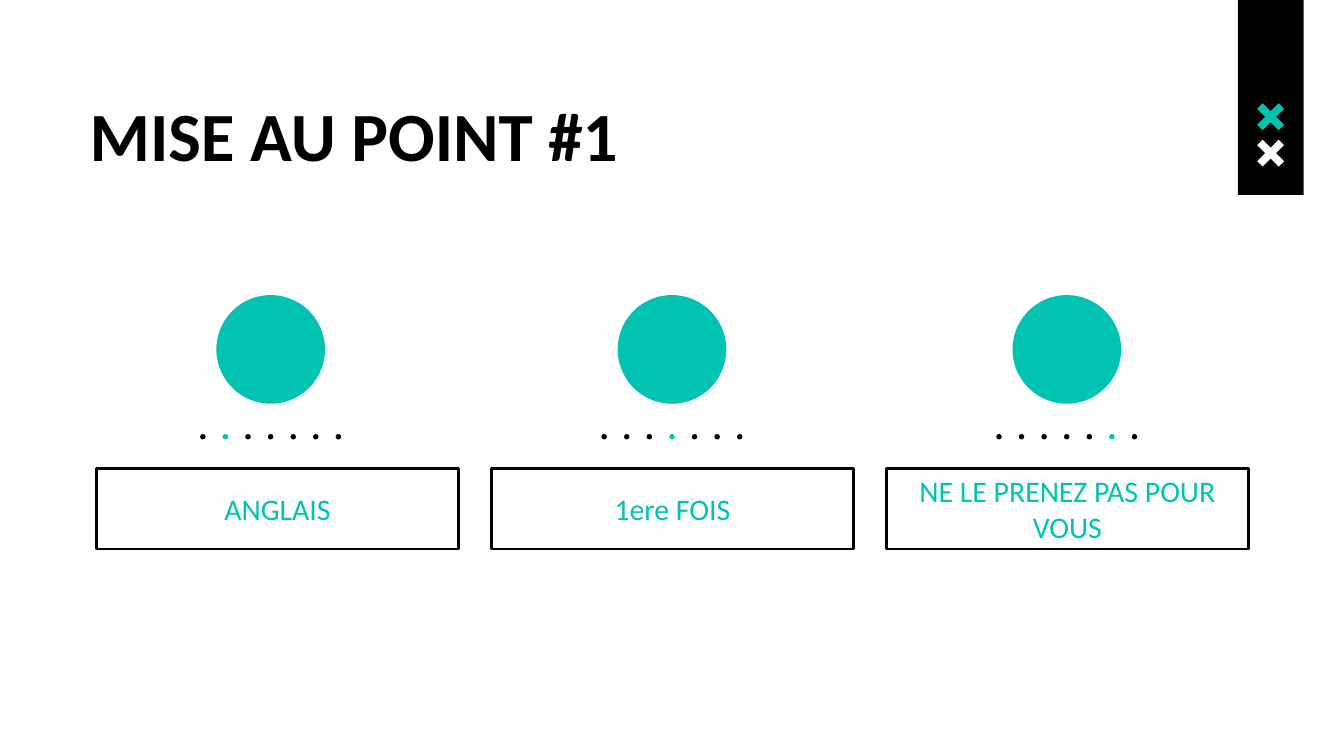
from pptx import Presentation
from pptx.dml.color import RGBColor
from pptx.enum.shapes import MSO_SHAPE
from pptx.enum.text import MSO_ANCHOR, PP_ALIGN
from pptx.util import Pt

RECT, OVAL = MSO_SHAPE.RECTANGLE, MSO_SHAPE.OVAL
MIDDLE, CENTER = MSO_ANCHOR.MIDDLE, PP_ALIGN.CENTER
BLACK = RGBColor(0x00, 0x00, 0x00)
WHITE = RGBColor(0xFF, 0xFF, 0xFF)
TEAL = RGBColor(0x00, 0xC3, 0xB1)
FONT = "Calibri"

# Content
TITLE = "MISE AU POINT #1"
COLUMNS = [  # label, centre of the disc, index of the teal dot
    ("ANGLAIS", 145, 1),
    ("1ere FOIS", 360, 3),
    ("NE LE PRENEZ PAS POUR VOUS", 571.5, 5),
]
CROSSES = [(62.6, TEAL), (82.1, WHITE)]  # centre height, colour

# Layout, in points
TAB_X, TAB_W, TAB_H = 663.1, 35.3, 104.4
ARM = [(-4.3, -7.2), (-7.2, -4.3), (-2.9, 0)]  # a quarter of a cross
DISC, DISC_Y = 58.2, 187.2
DOTS, DOT, DOT_GAP, DOT_Y = 7, 2.9, 12.1, 234
BOX_X, BOX_Y, BOX_W, BOX_H, BOX_STEP = 51.8, 251.1, 193.7, 43, 211.6

deck = Presentation()
deck.slide_width, deck.slide_height = Pt(720), Pt(405)
slide = deck.slides.add_slide(deck.slide_layouts[6])
shapes = slide.shapes


def paint(shape, color):
    shape.shadow.inherit = False
    shape.fill.solid()
    shape.fill.fore_color.rgb = color
    shape.line.fill.background()


def add_disc(x, y, size, color):
    disc = shapes.add_shape(OVAL, Pt(x - size / 2), Pt(y - size / 2), Pt(size), Pt(size))
    paint(disc, color)


def add_cross(x, y, color):
    points, arm = [], ARM
    for _ in range(4):
        points += [(Pt(x + dx), Pt(y + dy)) for dx, dy in arm]
        arm = [(dy, -dx) for dx, dy in arm]
    pen = shapes.build_freeform(*points[0])
    pen.add_line_segments(points[1:], close=True)
    paint(pen.convert_to_shape(), color)


def write(shape, text, size, color):
    frame = shape.text_frame
    frame.word_wrap = True
    frame.margin_left = frame.margin_right = Pt(7.2)
    frame.margin_top = frame.margin_bottom = Pt(7.2)
    para = frame.paragraphs[0]
    para.text = text
    para.font.name, para.font.size = FONT, Pt(size)
    para.font.color.rgb = color
    return para


# Corner tab with its crosses
tab = shapes.add_shape(RECT, Pt(TAB_X), 0, Pt(TAB_W), Pt(TAB_H))
paint(tab, BLACK)
for y, color in CROSSES:
    add_cross(TAB_X + TAB_W / 2, y, color)

# Title
title = shapes.add_textbox(Pt(41), Pt(42.5), Pt(638), Pt(57))
write(title, TITLE, 37, BLACK).font.bold = True

# Columns: disc, row of dots, framed label
for col, (label, mid, mark) in enumerate(COLUMNS):
    add_disc(mid, DISC_Y, DISC, TEAL)
    for i in range(DOTS):
        x = mid + (i - (DOTS - 1) / 2) * DOT_GAP
        add_disc(x, DOT_Y, DOT, TEAL if i == mark else BLACK)
    box = shapes.add_shape(RECT, Pt(BOX_X + col * BOX_STEP), Pt(BOX_Y), Pt(BOX_W), Pt(BOX_H))
    box.shadow.inherit = False
    box.fill.background()
    box.line.color.rgb, box.line.width = BLACK, Pt(1.5)
    box.text_frame.vertical_anchor = MIDDLE
    write(box, label, 16, TEAL).alignment = CENTER

deck.save("out.pptx")
